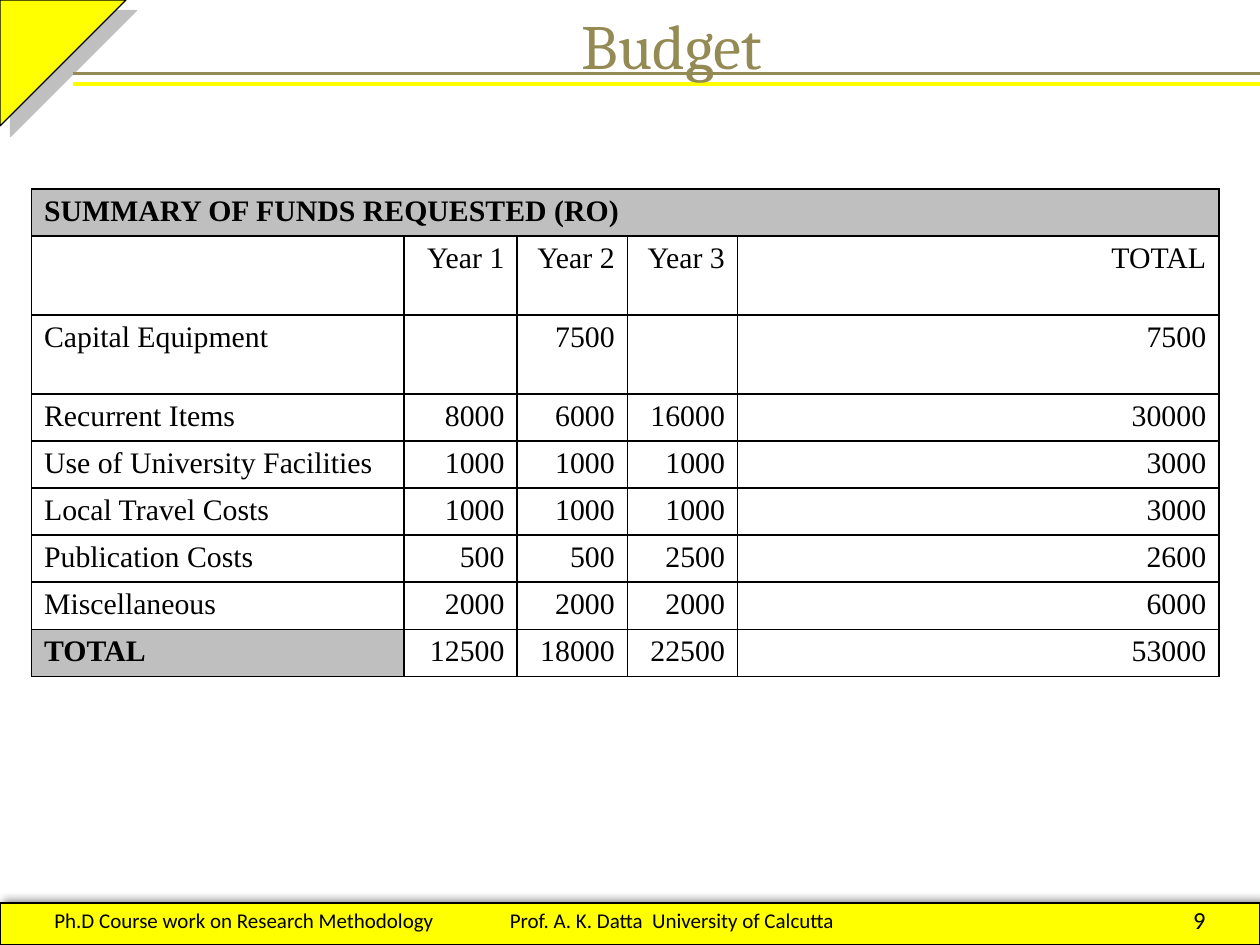
import dataclasses
import lxml.etree
import pptx
import pptx.dml.color
import pptx.enum.shapes
import pptx.enum.text
import pptx.oxml.ns
import pptx.util

Pt = pptx.util.Pt
RGB = pptx.dml.color.RGBColor.from_string
qn = pptx.oxml.ns.qn
ALIGN = pptx.enum.text.PP_ALIGN
ANCHOR = pptx.enum.text.MSO_ANCHOR
SHAPE = pptx.enum.shapes.MSO_SHAPE


@dataclasses.dataclass(frozen=True)
class Theme:
    black: str = "000000"
    yellow: str = "FFFF00"
    olive: str = "948A54"
    grey: str = "BFBFBF"
    title_size: float = 36
    table_size: float = 17
    footer_size: float = 12
    number_size: float = 14


theme = Theme()


def write(frame, text, size, font, color=theme.black, bold=False,
          align=ALIGN.LEFT, anchor=ANCHOR.TOP):
    frame.word_wrap = True
    frame.vertical_anchor = anchor
    paragraph = frame.paragraphs[0]
    paragraph.alignment = align
    run = paragraph.add_run()
    run.text = text
    run.font.size = Pt(size)
    run.font.name = font
    run.font.bold = bold
    run.font.color.rgb = RGB(color)


def add_band(kind, box, shadow_color, alpha, blur, distance, angle):
    band = slide.shapes.add_shape(kind, *map(Pt, box))
    band.fill.solid()
    band.fill.fore_color.rgb = RGB(theme.yellow)
    band.line.color.rgb = RGB(theme.black)
    band.line.width = Pt(0.75)
    band.shadow.inherit = False
    effects = band._element.spPr.find(qn("a:effectLst"))
    shadow = lxml.etree.SubElement(
        effects, qn("a:outerShdw"), blurRad=str(Pt(blur)), dist=str(Pt(distance)),
        dir=str(angle * 60000), algn="ctr", rotWithShape="0")
    color = lxml.etree.SubElement(shadow, qn("a:srgbClr"), val=shadow_color)
    lxml.etree.SubElement(color, qn("a:alpha"), val=str(alpha * 1000))
    return band


deck = pptx.Presentation()
deck.slide_width, deck.slide_height = Pt(720), Pt(540)
slide = deck.slides.add_slide(deck.slide_layouts[6])

# Corner triangle, header rules and footer band
corner = add_band(SHAPE.RIGHT_TRIANGLE, (0, 0, 72, 72), "808080", 50, 0, 8.5, 45)
corner.rotation = 90
for y, color in ((42, theme.olive), (48, theme.yellow)):
    rule = slide.shapes.add_connector(
        pptx.enum.shapes.MSO_CONNECTOR.STRAIGHT, Pt(42), Pt(y), Pt(720), Pt(y))
    rule.line.color.rgb = RGB(color)
    rule.line.width = Pt(2.25)
    lxml.etree.SubElement(rule._element.spPr, qn("a:effectLst"))
add_band(SHAPE.RECTANGLE, (0, 516, 720, 24), theme.black, 40, 4, 3, 315)

# Footer texts
for text, left, width, size, align in (
    ("Ph.D Course work on Research Methodology", 24, 246, theme.footer_size, ALIGN.LEFT),
    ("Prof. A. K. Datta  University of Calcutta", 258, 252, theme.footer_size, ALIGN.CENTER),
    ("9", 528, 168, theme.number_size, ALIGN.RIGHT),
):
    footer = slide.shapes.add_textbox(Pt(left), Pt(511.5), Pt(width), Pt(28.5))
    write(footer.text_frame, text, size, "Calibri", align=align, anchor=ANCHOR.MIDDLE)

# Title
title = slide.shapes.add_textbox(Pt(96), Pt(0), Pt(576), Pt(36))
write(title.text_frame, "Budget", theme.title_size, "Cambria", theme.olive,
      align=ALIGN.CENTER)

# Budget table
funds = [
    ["SUMMARY OF FUNDS REQUESTED (RO)", "", "", "", ""],
    ["", "Year 1", "Year 2", "Year 3", "TOTAL"],
    ["Capital Equipment", "", "7500", "", "7500"],
    ["Recurrent Items", "8000", "6000", "16000", "30000"],
    ["Use of University Facilities", "1000", "1000", "1000", "3000"],
    ["Local Travel Costs", "1000", "1000", "1000", "3000"],
    ["Publication Costs", "500", "500", "2500", "2600"],
    ["Miscellaneous", "2000", "2000", "2000", "6000"],
    ["TOTAL", "12500", "18000", "22500", "53000"],
]
column_widths = [213, 64.5, 63, 63, 275]
row_heights = [45.1 if row in (1, 2) else 26.2 for row in range(len(funds))]
budget = slide.shapes.add_table(
    len(funds), len(column_widths), Pt(18), Pt(108),
    Pt(sum(column_widths)), Pt(sum(row_heights))).table
budget.first_row = budget.horz_banding = False
for column, width in zip(budget.columns, column_widths):
    column.width = Pt(width)
for row, height in zip(budget.rows, row_heights):
    row.height = Pt(height)
budget.cell(0, 0).merge(budget.cell(0, len(column_widths) - 1))

for r, entries in enumerate(funds):
    for c, entry in enumerate(entries):
        cell = budget.cell(r, c)
        cell.margin_top = cell.margin_bottom = Pt(3.25)
        heading = r == 0 or (c == 0 and r == len(funds) - 1)

        # Borders come before the fill in the cell properties
        properties = cell._tc.get_or_add_tcPr()
        for side in ("a:lnL", "a:lnR", "a:lnT", "a:lnB"):
            border = lxml.etree.SubElement(properties, qn(side), w=str(Pt(1)))
            paint = lxml.etree.SubElement(border, qn("a:solidFill"))
            lxml.etree.SubElement(paint, qn("a:srgbClr"), val=theme.black)
        if heading:
            cell.fill.solid()
            cell.fill.fore_color.rgb = RGB(theme.grey)
        else:
            cell.fill.background()

        if entry:
            write(cell.text_frame, entry, theme.table_size, "Times New Roman",
                  bold=heading, align=ALIGN.RIGHT if c else ALIGN.LEFT)
            indents = cell.text_frame.paragraphs[0]._p.get_or_add_pPr()
            indents.set("marL", str(Pt(27)))
            indents.set("indent", str(-Pt(27)))

deck.save("out.pptx")
